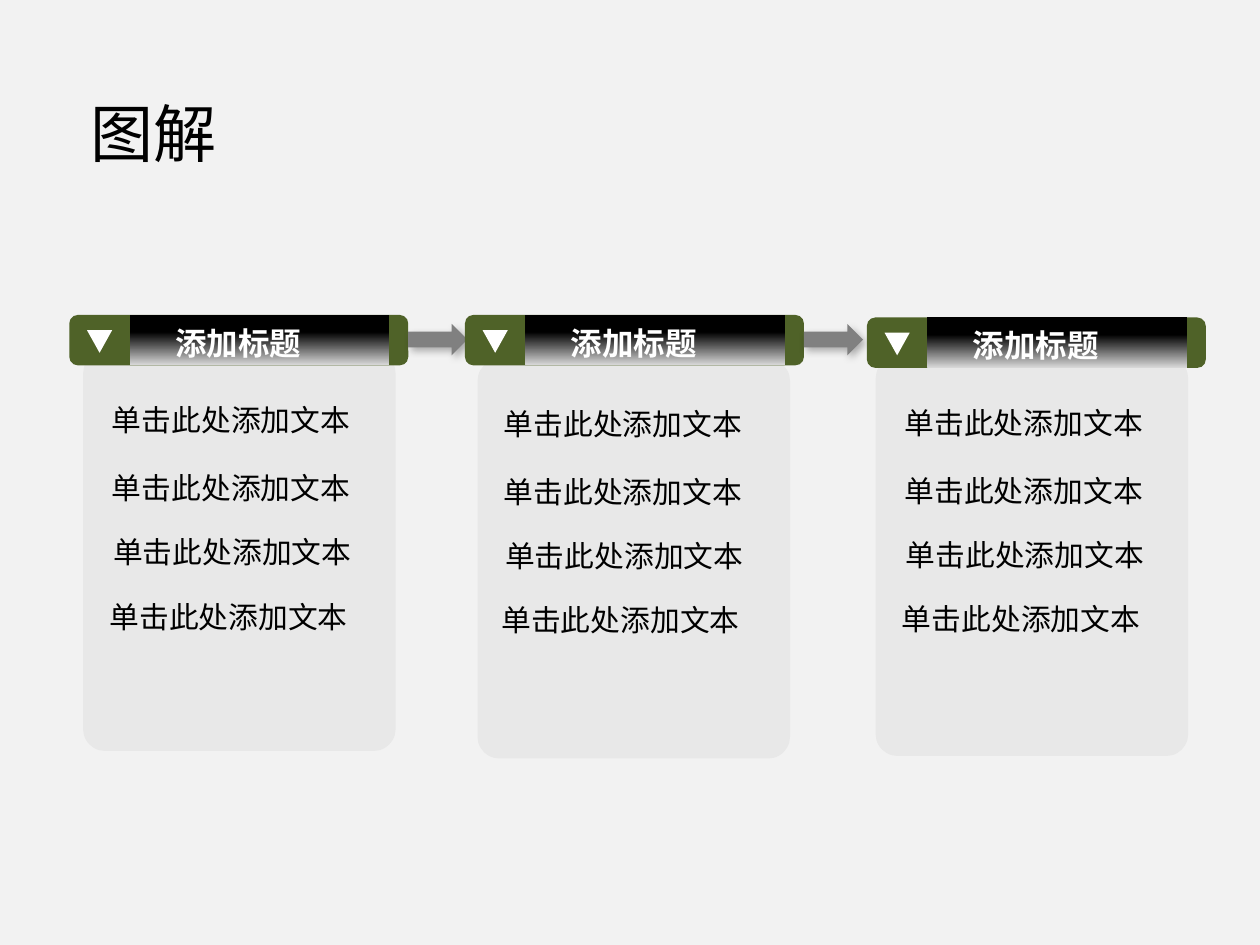
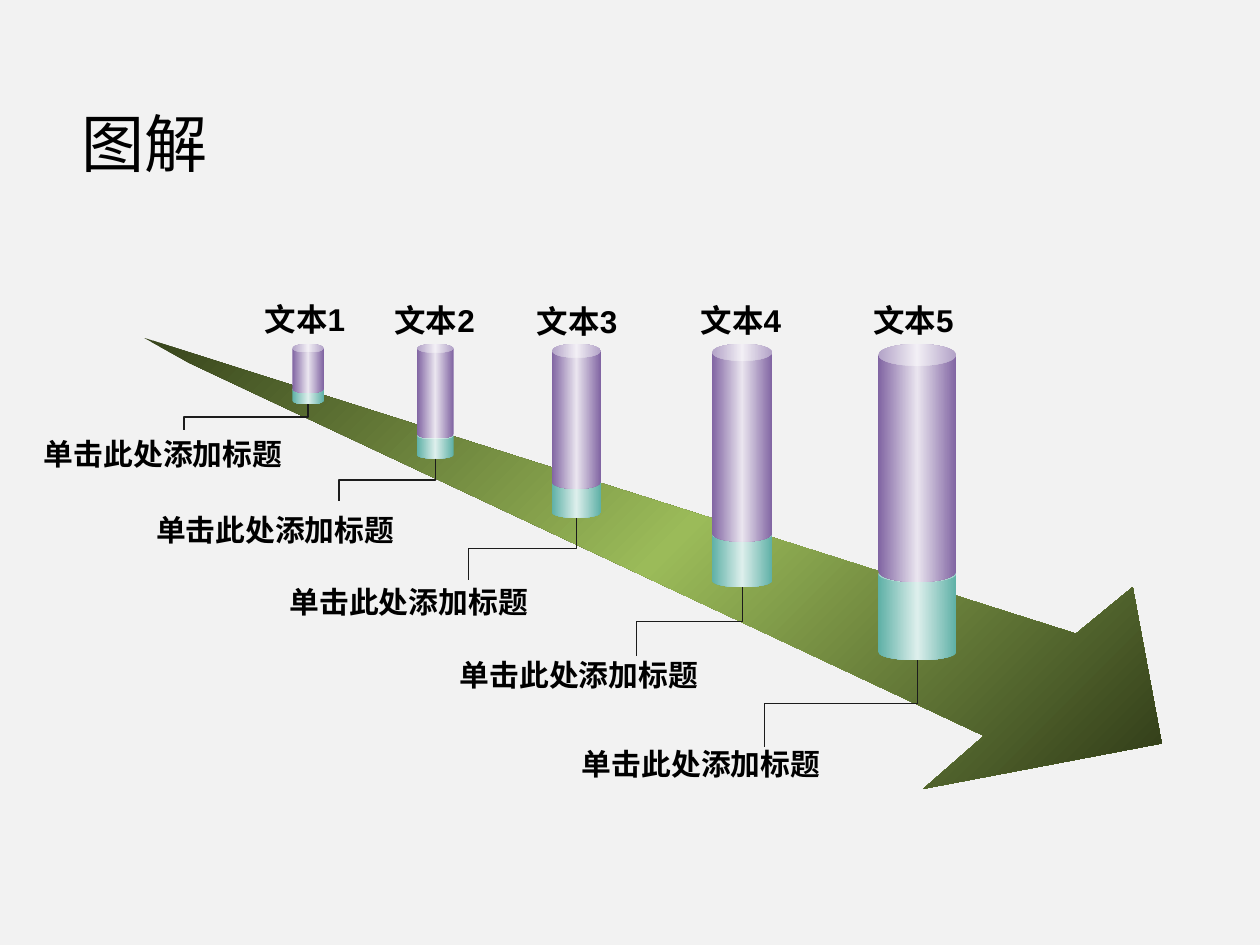
"""Build two diagram slides: three linked cards and a growth arrow with cylinders."""
from lxml import etree
from pptx import Presentation
from pptx.dml.color import RGBColor
from pptx.enum.shapes import MSO_CONNECTOR, MSO_SHAPE
from pptx.enum.text import MSO_AUTO_SIZE, PP_ALIGN
from pptx.oxml.ns import qn
from pptx.util import Pt

PX = 9144
FONT = "Noto Sans CJK SC"
LATIN = "Arial"

BACKGROUND = RGBColor(0xF2, 0xF2, 0xF2)
BLACK = RGBColor(0x00, 0x00, 0x00)
WHITE = RGBColor(0xFF, 0xFF, 0xFF)
PANEL = RGBColor(0xE8, 0xE8, 0xE8)
SILVER = RGBColor(0xD9, 0xD9, 0xD9)
GRAY = RGBColor(0x80, 0x80, 0x80)
OLIVE = RGBColor(0x4F, 0x62, 0x28)
LINE = RGBColor(0x1C, 0x1C, 0x1C)
TEAL = RGBColor(0x5E, 0xB0, 0xA6)
PALE_TEAL = RGBColor(0xDD, 0xEF, 0xEC)
PURPLE = RGBColor(0x80, 0x64, 0xA2)
PALE_PURPLE = RGBColor(0xEA, 0xE5, 0xEF)
DARK_GREEN = RGBColor(0x37, 0x44, 0x1C)
GREEN = RGBColor(0x9B, 0xBB, 0x59)
DEEP_GREEN = RGBColor(0x2E, 0x39, 0x17)

HEADER_FADE = [(0, SILVER), (66, BLACK)]
ARROW_FADE = [(0, DARK_GREEN), (50, GREEN), (100, DEEP_GREEN)]
TEAL_FADE = [(0, TEAL), (50, PALE_TEAL), (100, TEAL)]
PURPLE_FADE = [(0, PURPLE), (50, PALE_PURPLE), (100, PURPLE)]

ROUND_RECT = MSO_SHAPE.ROUNDED_RECTANGLE
RECT = MSO_SHAPE.RECTANGLE
TRIANGLE = MSO_SHAPE.ISOSCELES_TRIANGLE
RIGHT_ARROW = MSO_SHAPE.RIGHT_ARROW
CAN = MSO_SHAPE.CAN
ELBOW = MSO_CONNECTOR.ELBOW
LEFT = PP_ALIGN.LEFT
CENTER = PP_ALIGN.CENTER
FIT = MSO_AUTO_SIZE.SHAPE_TO_FIT_TEXT


def add_text(slide, text, x, y, w, h, size, color=BLACK, bold=False, align=LEFT, latin=FONT):
    tb = slide.shapes.add_textbox(PX * x, PX * y, PX * w, PX * h)
    tf = tb.text_frame
    tf.word_wrap = True
    tf.auto_size = FIT
    p = tf.paragraphs[0]
    p.alignment = align
    r = p.add_run()
    r.text = text
    r.font.size = Pt(size)
    r.font.bold = bold
    r.font.color.rgb = color
    r.font.name = latin
    etree.SubElement(r.font._element, qn("a:ea"), typeface=FONT)


def paint(sp, fill, angle=0):
    sp.shadow.inherit = False
    sp.line.fill.background()
    if isinstance(fill, RGBColor):
        sp.fill.solid()
        sp.fill.fore_color.rgb = fill
        return
    sp.fill.gradient()
    grad = sp._element.spPr.find(qn("a:gradFill"))
    stops = grad.find(qn("a:gsLst"))
    stops.clear()
    for position, color in fill:
        gs = etree.SubElement(stops, qn("a:gs"), pos=str(position * 1000))
        etree.SubElement(gs, qn("a:srgbClr"), val=str(color))
    lin = grad.find(qn("a:lin"))
    lin.set("ang", str(angle * 60000))
    lin.set("scaled", "0")


prs = Presentation()
prs.slide_width = PX * 1000
prs.slide_height = PX * 750
slides = []
for x, y, w in [(62, 70, 516), (55, 78, 328)]:
    s = prs.slides.add_slide(prs.slide_layouts[6])
    s.background.fill.solid()
    s.background.fill.fore_color.rgb = BACKGROUND
    add_text(s, "图解", x, y, w, 71, 36)
    slides.append(s)
cards_slide, growth_slide = slides

s = cards_slide
cards = [
    ((55, 250), (66, 279), (79, 314)),
    ((369, 250), (379, 285), (390, 317)),
    ((688, 252), (695, 283), (708, 316)),
]
for i, ((x, y), (panel_x, panel_y), (text_x, text_y)) in enumerate(cards):
    sp = s.shapes.add_shape(ROUND_RECT, PX * panel_x, PX * panel_y, PX * 248, PX * 317)
    sp.adjustments[0] = 0.07
    paint(sp, PANEL)
    for dx, dy in [(0, 0), (0, 54), (1, 105), (-2, 156)]:
        add_text(s, "单击此处添加文本", text_x + dx, text_y + dy, 238, 39, 17)

    sp = s.shapes.add_shape(ROUND_RECT, PX * x, PX * y, PX * 269, PX * 40)
    paint(sp, OLIVE)
    sp = s.shapes.add_shape(RECT, PX * (x + 48), PX * y, PX * 206, PX * 40)
    paint(sp, HEADER_FADE, 270)
    sp = s.shapes.add_shape(TRIANGLE, PX * (x + 14), PX * (y + 12), PX * 20, PX * 18)
    sp.rotation = 180
    paint(sp, WHITE)
    add_text(s, "添加标题", x + 49, y + 2, 170, 40, 18, WHITE, True, CENTER)

    if i < len(cards) - 1:
        sp = s.shapes.add_shape(RIGHT_ARROW, PX * (x + 269), PX * 257, PX * 47, PX * 25)
        paint(sp, GRAY)
        effects = sp._element.spPr.find(qn("a:effectLst"))
        shadow = etree.SubElement(effects, qn("a:outerShdw"), blurRad=str(Pt(4.5)),
                                  dist=str(Pt(2.6)), dir=str(53 * 60000), rotWithShape="0")
        color = etree.SubElement(shadow, qn("a:srgbClr"), val=str(BLACK))
        etree.SubElement(color, qn("a:alpha"), val="30000")

s = growth_slide
builder = s.shapes.build_freeform(192, 293, scale=PX)
builder.add_line_segments([(114, 268), (150, 288), (781, 584), (733, 626),
                           (922, 590), (899, 466), (854, 503)], close=True)
paint(builder.convert_to_shape(), ARROW_FADE, 45)

columns = [
    (232, 25, (306, 15, 0.4), (39, 0.27), (192, 233), (146, 341), (25, 341)),
    (331, 29, (343, 21, 0.27), (75, 0.24), (295, 234), (269, 398), (114, 401)),
    (438, 39, (377, 34, 0.25), (115, 0.28), (408, 235), (372, 460), (220, 458)),
    (565, 48, (419, 47, 0.22), (157, 0.28), (538, 234), (505, 521), (355, 516)),
    (697, 62, (449, 75, 0.21), (189, 0.28), (675, 234), (607, 593), (452, 587)),
]
for n, (x, w, base, tube, name_at, end, label_at) in enumerate(columns, 1):
    base_y, base_h, base_adj = base
    tube_h, tube_adj = tube
    for y, h, adj, fade in [(base_y, base_h, base_adj, TEAL_FADE),
                            (273, tube_h, tube_adj, PURPLE_FADE)]:
        sp = s.shapes.add_shape(CAN, PX * x, PX * y, PX * w, PX * h)
        sp.adjustments[0] = adj
        paint(sp, fade)
    add_text(s, f"文本{n}", *name_at, 100, 40, 18, BLACK, True, CENTER, LATIN)
    add_text(s, "单击此处添加标题", *label_at, 253, 39, 17, BLACK, True)

    start_x, start_y = PX * x + PX * w // 2, PX * (base_y + base_h)
    end_x, end_y = PX * end[0], PX * end[1]
    mid_x, mid_y = (start_x + end_x) // 2, (start_y + end_y) // 2
    half_w, half_h = (start_x - end_x) // 2, (end_y - start_y) // 2
    c = s.shapes.add_connector(ELBOW, mid_x - half_h, mid_y - half_w,
                               mid_x + half_h, mid_y + half_w)
    c.line.color.rgb = LINE
    c.line.width = Pt(0.75)
    sp_pr = c._element.spPr
    sp_pr.find(qn("a:xfrm")).set("rot", str(90 * 60000))
    etree.SubElement(sp_pr, qn("a:effectLst"))

prs.save("out.pptx")
